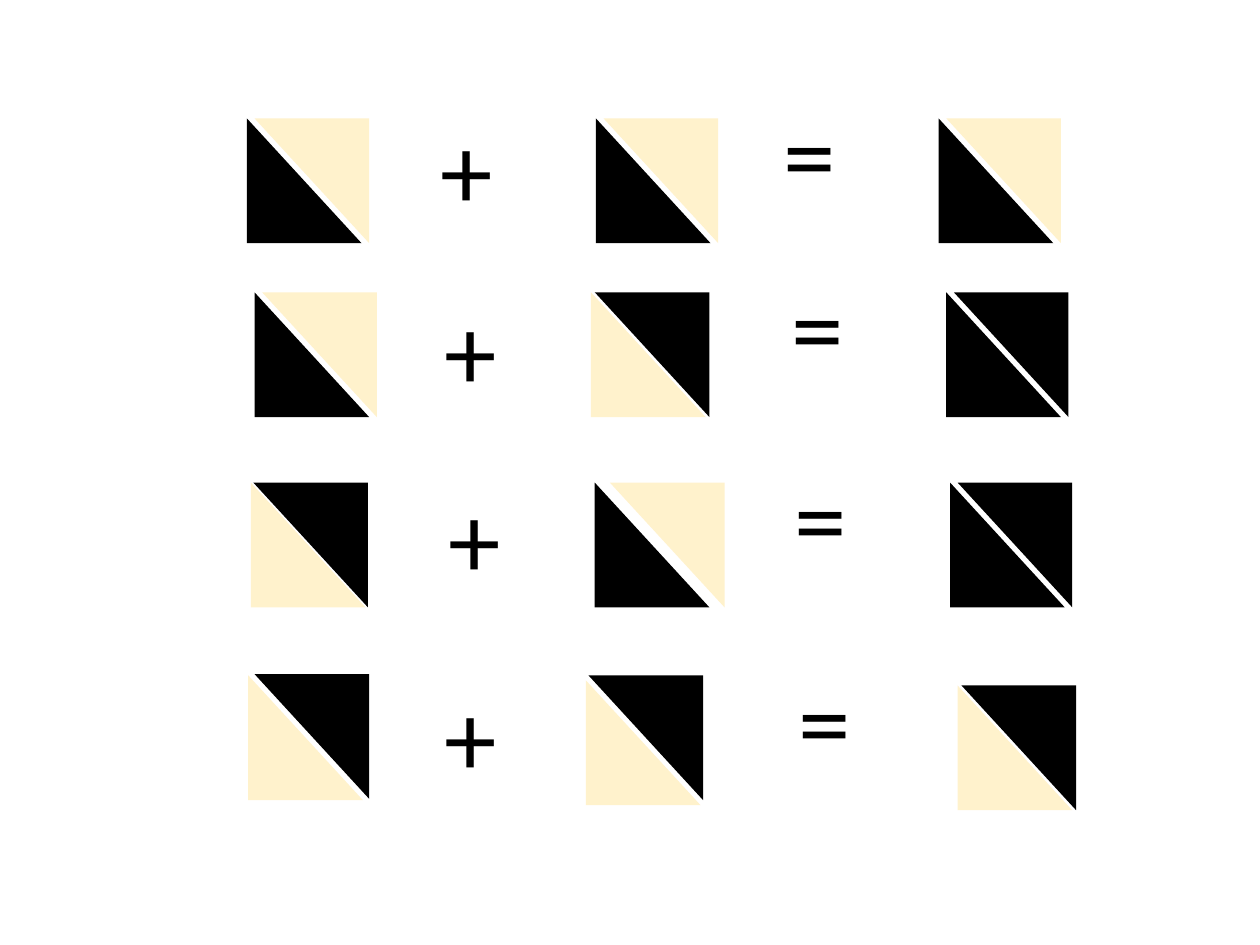
"""Build a slide of four sums of two-triangle squares."""
from dataclasses import dataclass

from pptx import Presentation
from pptx import util as u
from pptx.dml.color import RGBColor
from pptx.enum import shapes, text


@dataclass(frozen=True)
class Theme:
    """Colours, font and type size of the slide."""
    dark: RGBColor = RGBColor(0x00, 0x00, 0x00)
    light: RGBColor = RGBColor(0xFF, 0xF2, 0xCC)
    font: str = "Calibri"
    sign_size: int = 60


@dataclass(frozen=True)
class Square:
    """Corner of the lower triangle, shift of the upper one, and both colours."""
    left: float
    top: float
    lower: RGBColor
    upper: RGBColor
    shift: float = 0.06
    rise: float = 0


THEME = Theme()
DARK, LIGHT = THEME.dark, THEME.light
TRIANGLE_SIZE = (u.Inches(0.91), u.Inches(0.99))
SIGN_SIZE = (u.Inches(0.62), u.Inches(1.11))

SUMS = [
    ([Square(1.96, 0.94, DARK, LIGHT), Square(4.73, 0.94, DARK, LIGHT),
      Square(7.45, 0.94, DARK, LIGHT)], (3.4, 0.78), (6.12, 0.65)),
    ([Square(2.02, 2.32, DARK, LIGHT), Square(4.69, 2.32, LIGHT, DARK, 0.03),
      Square(7.51, 2.32, DARK, DARK)], (3.43, 2.22), (6.18, 2.03)),
    ([Square(1.99, 3.83, LIGHT, DARK, 0.02), Square(4.72, 3.83, DARK, LIGHT, 0.12),
      Square(7.54, 3.83, DARK, DARK)], (3.46, 3.71), (6.21, 3.54)),
    ([Square(1.97, 5.36, LIGHT, DARK, 0.05, 0.01),
      Square(4.65, 5.4, LIGHT, DARK, 0.02, 0.04),
      Square(7.6, 5.44, LIGHT, DARK, 0.03)], (3.43, 5.28), (6.24, 5.15)),
]


def add_triangle(slide, left, top, colour, rotation=0):
    """Add a plain right triangle."""
    triangle = slide.shapes.add_shape(
        shapes.MSO_SHAPE.RIGHT_TRIANGLE, u.Inches(left), u.Inches(top), *TRIANGLE_SIZE)
    triangle.rotation = rotation
    triangle.shadow.inherit = False
    triangle.fill.solid()
    triangle.fill.fore_color.rgb = colour
    triangle.line.fill.background()


def add_square(slide, square):
    """Add the two facing triangles of a square."""
    add_triangle(slide, square.left + square.shift, square.top - square.rise,
                 square.upper, 180)
    add_triangle(slide, square.left, square.top, square.lower)


def add_sign(slide, sign, place):
    """Add a plus or equals sign."""
    left, top = place
    box = slide.shapes.add_textbox(u.Inches(left), u.Inches(top), *SIGN_SIZE)
    frame = box.text_frame
    frame.text = sign
    frame.word_wrap = False
    frame.auto_size = text.MSO_AUTO_SIZE.SHAPE_TO_FIT_TEXT
    font = frame.paragraphs[0].runs[0].font
    font.name = THEME.font
    font.size = u.Pt(THEME.sign_size)
    font.color.rgb = DARK


def main():
    """Build and save the deck."""
    deck = Presentation()
    deck.slide_width, deck.slide_height = u.Inches(10), u.Inches(7.5)
    slide = deck.slides.add_slide(deck.slide_layouts[6])
    for squares, plus, equals in SUMS:
        for square in squares:
            add_square(slide, square)
        add_sign(slide, "+", plus)
        add_sign(slide, "=", equals)
    deck.save("out.pptx")


if __name__ == "__main__":
    main()
